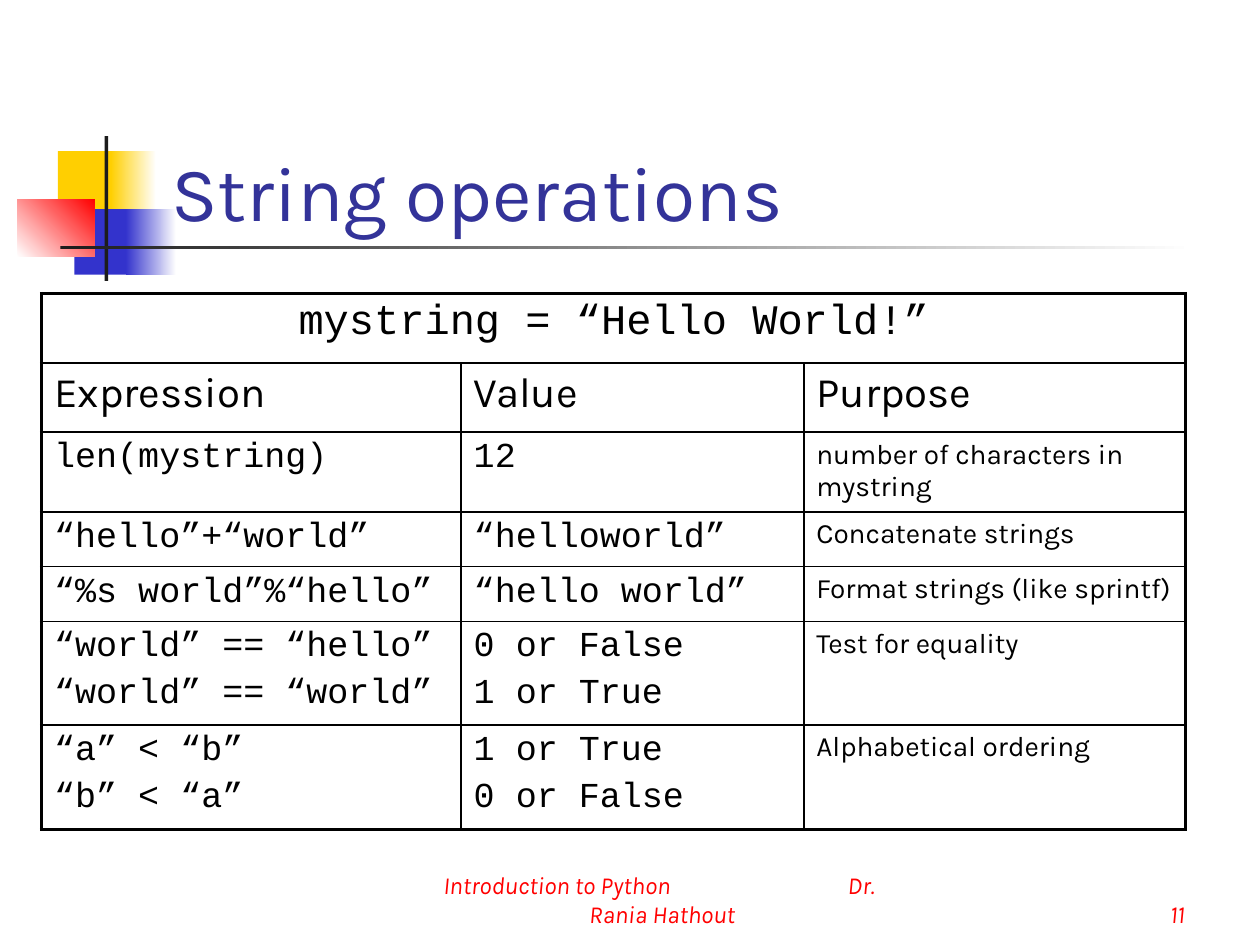
from dataclasses import dataclass

from lxml.etree import SubElement
from pptx import Presentation
from pptx.dml.color import RGBColor
from pptx.enum.shapes import MSO_SHAPE as Preset
from pptx.enum.text import MSO_ANCHOR as Anchor, PP_ALIGN as Align
from pptx.oxml import parse_xml
from pptx.oxml.ns import nsdecls, qn
from pptx.util import Inches, Pt


@dataclass(frozen=True)
class Theme:
    body_font: str = "Karla"
    code_font: str = "Courier New"
    title_size: int = 44
    heading_size: int = 24
    code_size: int = 20
    purpose_size: int = 16
    footer_size: int = 14
    outer_border: float = 2.25
    inner_border: float = 1
    white: str = "FFFFFF"
    black: str = "000000"
    yellow: str = "FFCF01"
    blue: str = "3333CC"
    red: str = "FF0000"
    dark: str = "1C1C1C"
    title: str = "333399"


THEME = Theme()

DECORATION = [
    (0.46, 1.2, 0.48, 0.52, [THEME.yellow], 0),
    (0.88, 1.2, 0.36, 0.52, [THEME.yellow, THEME.white], 0),
    (0.59, 1.66, 0.46, 0.52, [THEME.blue], 0),
    (1, 1.66, 0.4, 0.52, [THEME.blue, THEME.white], 0),
    (0.14, 1.58, 0.61, 0.46, [THEME.white, THEME.red], 45),
    (0.83, 1.08, 0.03, 1.15, [THEME.dark], 0),
    (0.48, 1.95, 9, 0.03, [THEME.dark, THEME.white], 0),
]

COLUMN_WIDTHS = [3.33, 2.72, 3.03]
ROW_HEIGHTS = [0.55, 0.55, 0.62, 0.41, 0.42, 0.79, 0.83]
BANNER = "mystring = “Hello World!”"
HEADINGS = ["Expression", "Value", "Purpose"]
OPERATIONS = [
    ("len(mystring)", "12", "number of characters in mystring"),
    ("“hello”+“world”", "“helloworld”", "Concatenate strings"),
    ("“%s world”%“hello”", "“hello world”", "Format strings (like sprintf)"),
    ("“world” == “hello”\n“world” == “world”", "0 or False\n1 or True", "Test for equality"),
    ("“a” < “b”\n“b” < “a”", "1 or True\n0 or False", "Alphabetical ordering"),
]


def style_paragraph(paragraph, font, size, color, italic=False, align=Align.LEFT):
    paragraph.alignment = align
    paragraph.font.name = font
    paragraph.font.size = Pt(size)
    paragraph.font.italic = italic
    paragraph.font.color.rgb = RGBColor.from_string(color)


def add_block(slide, left, top, width, height, colors, angle):
    shape = slide.shapes.add_shape(
        Preset.RECTANGLE, Inches(left), Inches(top), Inches(width), Inches(height)
    )
    shape.shadow.inherit = False
    shape.line.fill.background()
    if len(colors) == 1:
        shape.fill.solid()
        shape.fill.fore_color.rgb = RGBColor.from_string(colors[0])
        return
    shape.fill.gradient()
    shape.fill.gradient_angle = angle
    for position, (stop, color) in enumerate(zip(shape.fill.gradient_stops, colors)):
        stop.position = position
        stop.color.rgb = RGBColor.from_string(color)


def add_text(slide, left, top, width, height, text, size, color, italic=False, align=Align.LEFT):
    box = slide.shapes.add_textbox(Inches(left), Inches(top), Inches(width), Inches(height))
    frame = box.text_frame
    frame.word_wrap = True
    frame.vertical_anchor = Anchor.BOTTOM
    frame.text = text
    for paragraph in frame.paragraphs:
        style_paragraph(paragraph, THEME.body_font, size, color, italic, align)
    return frame


def add_tab_stop(paragraph, position):
    properties = paragraph._p.get_or_add_pPr()
    tabs = parse_xml(f"<a:tabLst {nsdecls('a')}/>")
    SubElement(tabs, qn("a:tab"), pos=str(Inches(position)), algn="l")
    properties.insert_element_before(tabs, "a:defRPr", "a:extLst")


def add_footer(slide):
    style = THEME.footer_size, THEME.red, True
    frame = add_text(
        slide, 3.42, 6.92, 3.67, 0.5, "Introduction to Python\tDr.\nRania Hathout", *style
    )
    course, name = frame.paragraphs
    add_tab_stop(course, 3.21)
    name.alignment = Align.CENTER
    add_text(slide, 7.42, 6.92, 2.08, 0.5, "11", *style, Align.RIGHT)


def set_borders(cell, outer_sides):
    properties = cell._tc.get_or_add_tcPr()
    for index, side in enumerate("LRTB"):
        width = THEME.outer_border if side in outer_sides else THEME.inner_border
        line = parse_xml(
            f'<a:ln{side} {nsdecls("a")} w="{Pt(width)}"><a:solidFill>'
            f'<a:srgbClr val="{THEME.black}"/></a:solidFill></a:ln{side}>'
        )
        properties.insert(index, line)


def fill_cell(cell, text, font, size, align=Align.LEFT):
    cell.text = text
    for paragraph in cell.text_frame.paragraphs:
        style_paragraph(paragraph, font, size, THEME.black, align=align)
        paragraph.space_before = Pt(size * 0.2)


def add_operations_table(slide):
    row_count, column_count = len(ROW_HEIGHTS), len(COLUMN_WIDTHS)
    table = slide.shapes.add_table(
        row_count, column_count, Inches(0.33), Inches(2.33),
        Inches(sum(COLUMN_WIDTHS)), Inches(sum(ROW_HEIGHTS)),
    ).table
    table.first_row = table.horz_banding = False
    for column, width in zip(table.columns, COLUMN_WIDTHS):
        column.width = Inches(width)
    for row, height in zip(table.rows, ROW_HEIGHTS):
        row.height = Inches(height)

    table.cell(0, 0).merge(table.cell(0, column_count - 1))
    for row in range(row_count):
        for column in range(column_count):
            cell = table.cell(row, column)
            cell.fill.background()
            edges = {
                "L": column == 0,
                "R": column == column_count - 1 or row == 0,
                "T": row == 0,
                "B": row == row_count - 1,
            }
            set_borders(cell, [side for side, is_outer in edges.items() if is_outer])

    fill_cell(table.cell(0, 0), BANNER, THEME.code_font, THEME.heading_size, Align.CENTER)
    for column, heading in enumerate(HEADINGS):
        fill_cell(table.cell(1, column), heading, THEME.body_font, THEME.heading_size)
    for row, (expression, value, purpose) in enumerate(OPERATIONS, start=2):
        fill_cell(table.cell(row, 0), expression, THEME.code_font, THEME.code_size)
        fill_cell(table.cell(row, 1), value, THEME.code_font, THEME.code_size)
        fill_cell(table.cell(row, 2), purpose, THEME.body_font, THEME.purpose_size)


def main():
    presentation = Presentation()
    presentation.slide_width = Inches(10)
    presentation.slide_height = Inches(7.5)
    slide = presentation.slides.add_slide(presentation.slide_layouts[6])
    for block in DECORATION:
        add_block(slide, *block)
    add_footer(slide)
    add_text(slide, 1.26, 0.68, 8.52, 1.25, "String operations", THEME.title_size, THEME.title)
    add_operations_table(slide)
    presentation.save("out.pptx")


if __name__ == "__main__":
    main()
